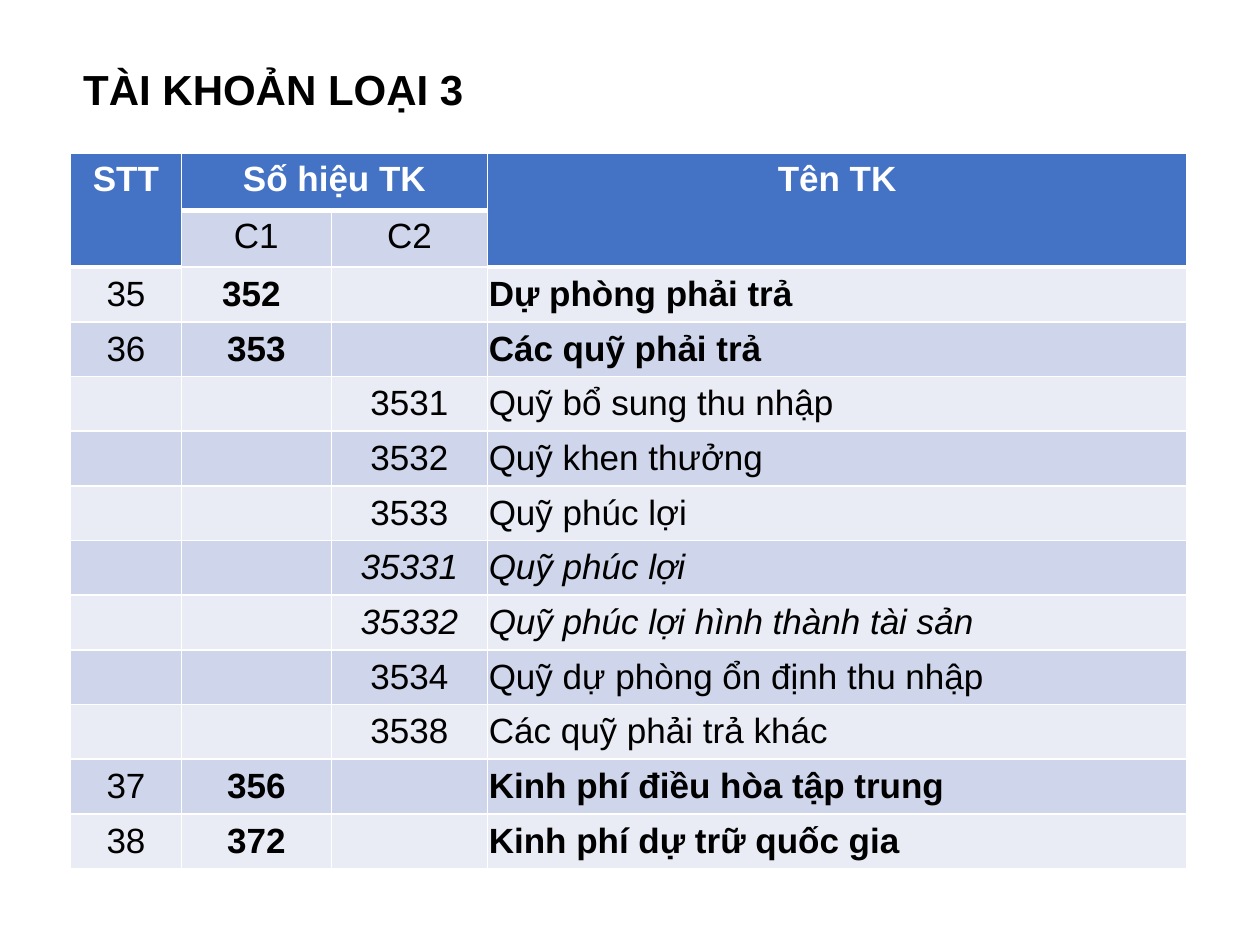
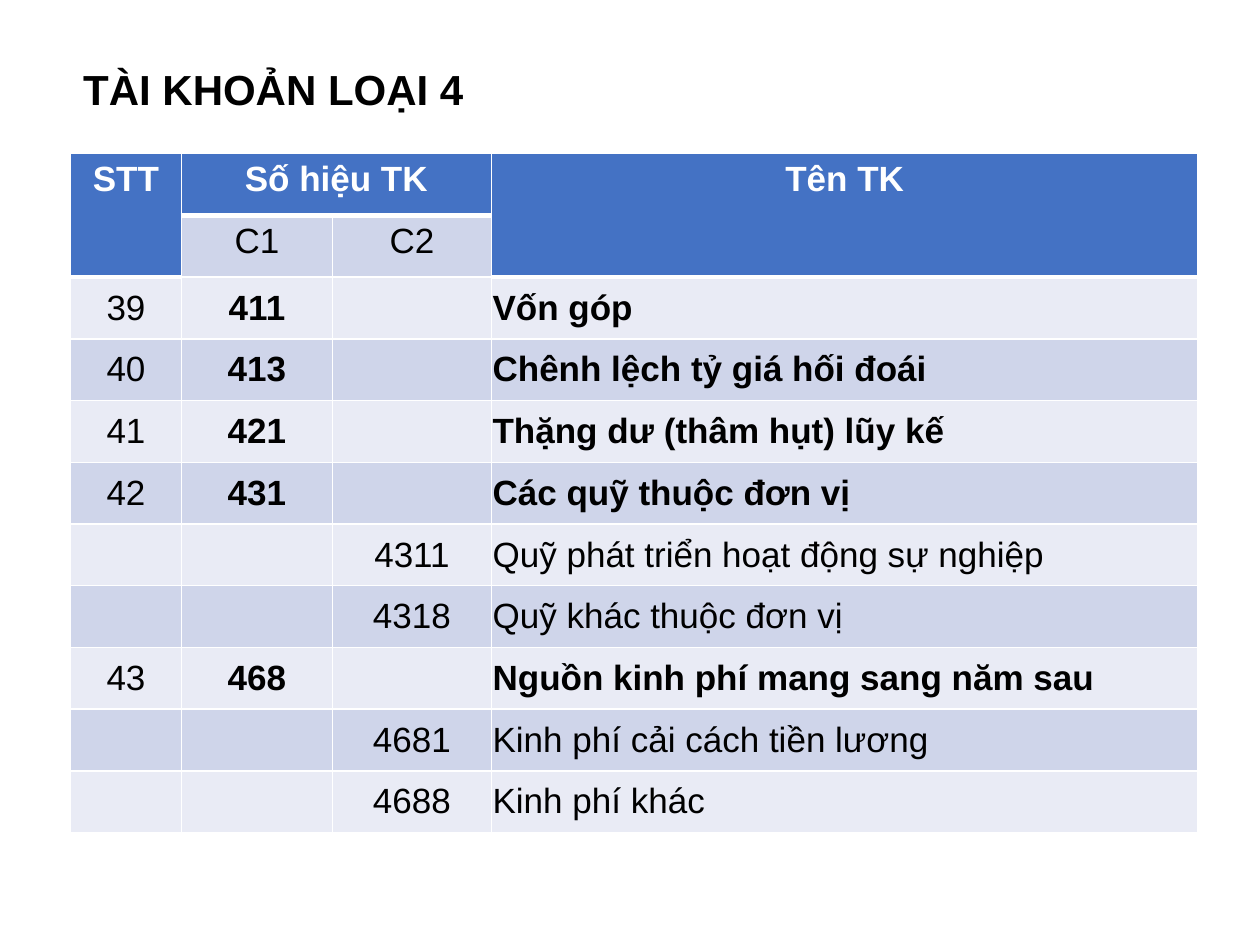
from lxml import etree
from pptx import Presentation
from pptx.dml.color import RGBColor
from pptx.enum.text import MSO_ANCHOR, MSO_AUTO_SIZE, PP_ALIGN
from pptx.oxml.ns import qn
from pptx.util import Inches, Pt

# Content: each account is (STT, C1, C2, name)
HEADINGS = ["STT", "Số hiệu TK", "", "Tên TK"]
LEVELS = ["", "C1", "C2", ""]
ACCOUNT_CLASSES = [
    {
        "title": "TÀI KHOẢN LOẠI 3",
        "columns": [0.88, 1.19, 1.24, 5.55],
        "header_row": 0.45,
        "account_row": 0.43,
        "accounts": [
            ("35", "352 ", "", "Dự phòng phải trả"),
            ("36", "353", "", "Các quỹ phải trả"),
            ("", "", "3531", "Quỹ bổ sung thu nhập"),
            ("", "", "3532", "Quỹ khen thưởng"),
            ("", "", "3533", "Quỹ phúc lợi"),
            ("", "", "35331", "Quỹ phúc lợi"),
            ("", "", "35332", "Quỹ phúc lợi hình thành tài sản"),
            ("", "", "3534", "Quỹ dự phòng ổn định thu nhập"),
            ("", "", "3538", "Các quỹ phải trả khác"),
            ("37", "356", "", "Kinh phí điều hòa tập trung"),
            ("38", "372", "", "Kinh phí dự trữ quốc gia"),
        ],
    },
    {
        "title": "TÀI KHOẢN LOẠI 4",
        "columns": [0.88, 1.2, 1.26, 5.61],
        "header_row": 0.49,
        "account_row": 0.49,
        "accounts": [
            ("39", "411", "", "Vốn góp"),
            ("40", "413", "", "Chênh lệch tỷ giá hối đoái"),
            ("41", "421", "", "Thặng dư (thâm hụt) lũy kế"),
            ("42", "431", "", "Các quỹ thuộc đơn vị"),
            ("", "", "4311", "Quỹ phát triển hoạt động sự nghiệp"),
            ("", "", "4318", "Quỹ khác thuộc đơn vị"),
            ("43", "468", "", "Nguồn kinh phí mang sang năm sau"),
            ("", "", "4681", "Kinh phí cải cách tiền lương"),
            ("", "", "4688", "Kinh phí khác"),
        ],
    },
]

# Shared look
WHITE = RGBColor(0xFF, 0xFF, 0xFF)
BLACK = RGBColor(0, 0, 0)
HEADER_BLUE = RGBColor(0x44, 0x72, 0xC4)
BANDS = [RGBColor(0xE9, 0xEB, 0xF5), RGBColor(0xCF, 0xD5, 0xEA)]
FONT = "Arial"
LEFT, TITLE_TOP, TABLE_TOP = 0.56, 0.45, 1.22
TITLE_SIZE = (3.22, 0.5)
HEADER_ROWS = 2
STT, C1, C2, NAME = range(4)
CENTER, ALIGN_LEFT = PP_ALIGN.CENTER, PP_ALIGN.LEFT
TOP, MIDDLE = MSO_ANCHOR.TOP, MSO_ANCHOR.MIDDLE
FIT_SHAPE = MSO_AUTO_SIZE.SHAPE_TO_FIT_TEXT
ACCOUNT_CELL = {
    "vertical_anchor": MIDDLE,
    "margin_left": Inches(0.01),
    "margin_right": Inches(0.01),
    "margin_top": 0,
    "margin_bottom": 0,
}


def apply(target, formats):
    for name, value in formats.items():
        setattr(target, name, value)


def set_font(paragraph, size, color, bold=False, italic=False):
    apply(paragraph.font, {"name": FONT, "size": Pt(size), "bold": bold, "italic": italic})
    paragraph.font.color.rgb = color


def add_title(slide, text):
    title = slide.shapes.title
    width, height = TITLE_SIZE
    apply(title, {"left": Inches(LEFT), "top": Inches(TITLE_TOP),
                  "width": Inches(width), "height": Inches(height)})
    title.text_frame.text = text
    apply(title.text_frame, {"word_wrap": False, "auto_size": FIT_SHAPE,
                             "vertical_anchor": TOP})
    heading = title.text_frame.paragraphs[0]
    heading.alignment = ALIGN_LEFT
    set_font(heading, 24, BLACK, bold=True)


def fill_cell(cell, text, fill, color=BLACK, align=CENTER, bold=False, italic=False):
    cell.fill.solid()
    cell.fill.fore_color.rgb = fill
    cell.text = text
    paragraph = cell.text_frame.paragraphs[0]
    paragraph.alignment = align
    set_font(paragraph, 20, color, bold, italic)


def underline_header(cell):
    """Draw the thick white rule below a header cell."""
    rule = etree.Element(qn("a:lnB"), w=str(Pt(3)))
    solid = etree.SubElement(rule, qn("a:solidFill"))
    etree.SubElement(solid, qn("a:srgbClr"), val=str(WHITE))
    cell._tc.get_or_add_tcPr().insert(0, rule)


def add_header(table):
    for column, (heading, level) in enumerate(zip(HEADINGS, LEVELS)):
        upper, lower = table.cell(0, column), table.cell(1, column)
        fill_cell(upper, heading, HEADER_BLUE, WHITE, bold=True)
        fill_cell(lower, level, BANDS[1] if level else HEADER_BLUE)
        underline_header(upper)
        if not level:
            underline_header(lower)
            upper.merge(lower)
    table.cell(0, C1).merge(table.cell(0, C2))


def add_accounts(table, accounts):
    for index, account in enumerate(accounts):
        main_account = bool(account[C1])
        detail = len(account[C2]) == 5
        for column, text in enumerate(account):
            cell = table.cell(index + HEADER_ROWS, column)
            fill_cell(cell, text, BANDS[index % 2],
                      align=ALIGN_LEFT if column == NAME else CENTER,
                      bold=main_account and column != STT, italic=detail)
            if text:
                apply(cell, ACCOUNT_CELL)


def add_account_table(slide, group):
    accounts, columns = group["accounts"], group["columns"]
    rows = [group["header_row"]] * HEADER_ROWS + [group["account_row"]] * len(accounts)
    table = slide.shapes.add_table(
        len(rows), len(columns), Inches(LEFT), Inches(TABLE_TOP),
        Inches(sum(columns)), Inches(sum(rows))).table
    for column, width in zip(table.columns, columns):
        column.width = Inches(width)
    for row, height in zip(table.rows, rows):
        row.height = Inches(height)
    add_header(table)
    add_accounts(table, accounts)


def main():
    deck = Presentation()
    deck.slide_width, deck.slide_height = Inches(10), Inches(7.5)
    title_only = deck.slide_layouts[5]
    for group in ACCOUNT_CLASSES:
        slide = deck.slides.add_slide(title_only)
        add_title(slide, group["title"])
        add_account_table(slide, group)
    deck.save("out.pptx")


if __name__ == "__main__":
    main()
